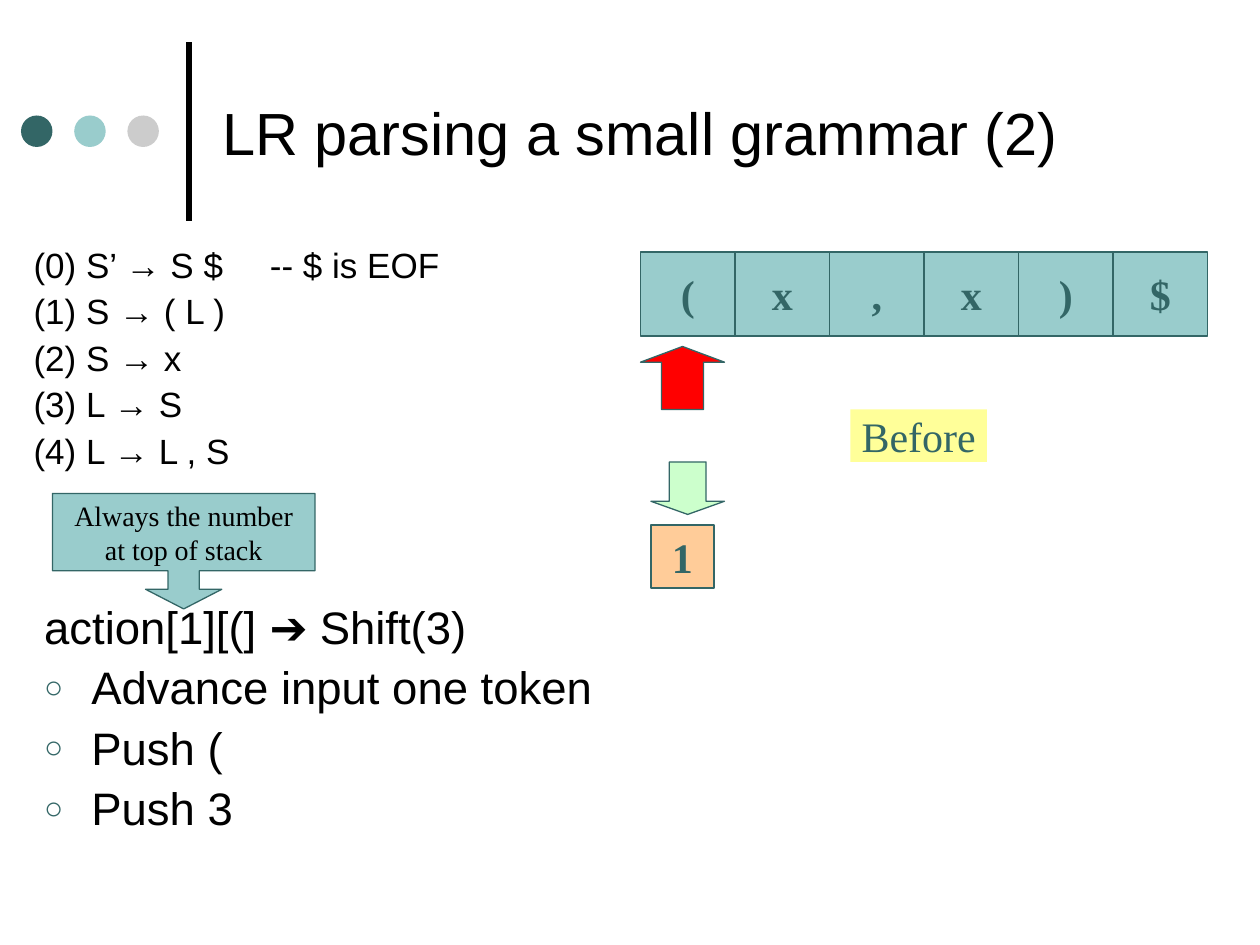
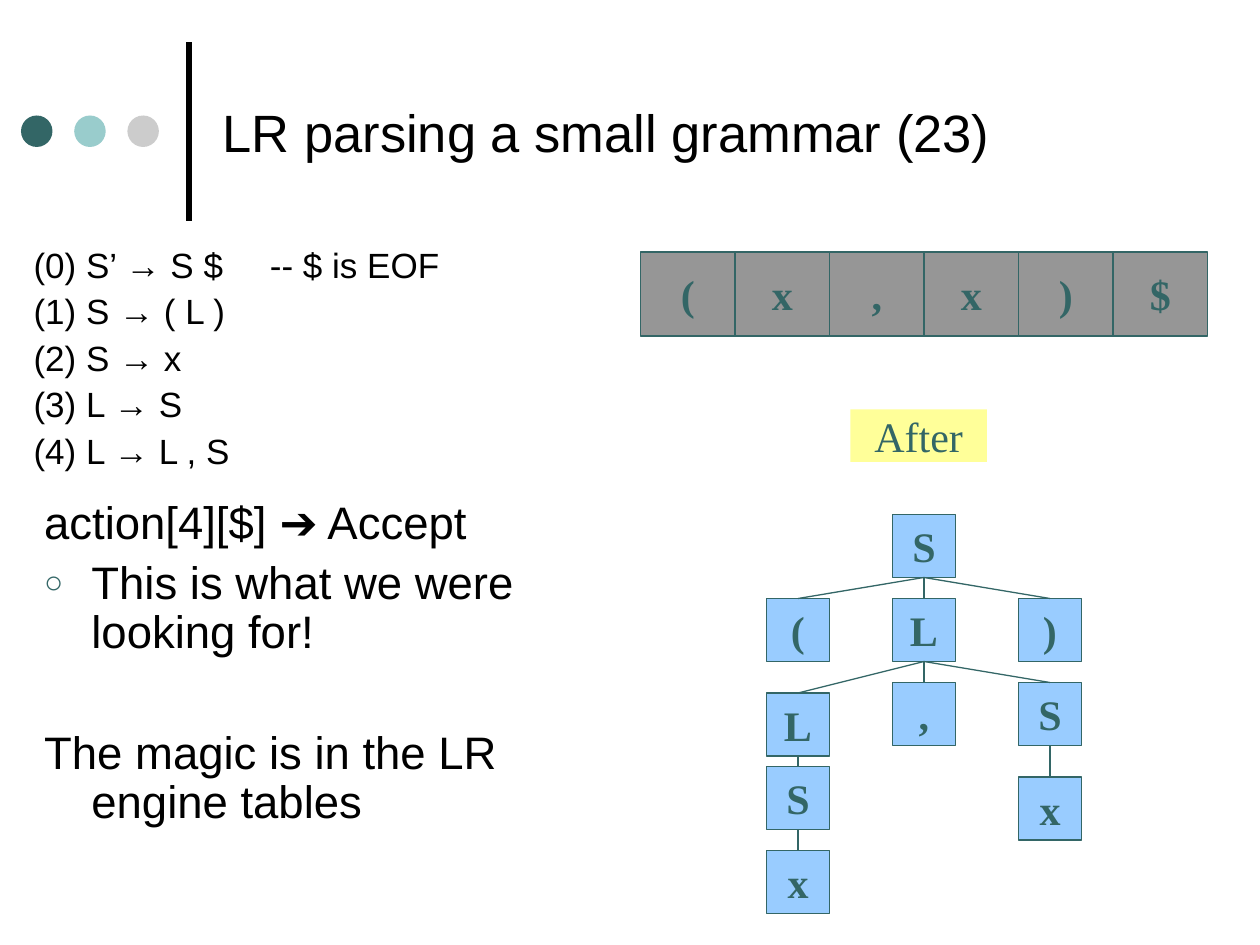
"""Build two slides on LR parsing of a small grammar."""
from lxml import etree
from pptx import Presentation
from pptx.dml.color import RGBColor
from pptx.enum import shapes, text
from pptx.oxml import ns
from pptx.util import Pt

COLORS = {
    "ink": "000000", "teal": "336666", "aqua": "99CCCC", "silver": "CCCCCC",
    "used": "969696", "red": "FF0000", "mint": "CCFFCC", "peach": "FFCC99",
    "yellow": "FFFF99", "sky": "99CCFF",
}
SANS, SERIF = "Arial", "Times New Roman"
SHAPE, ALIGN = shapes.MSO_SHAPE, text.PP_ALIGN
GRAMMAR = ["(0) S’ → S $\t-- $ is EOF", "(1) S → ( L )", "(2) S → x",
           "(3) L → S", "(4) L → L , S"]
TOKENS = "(x,x)$"
NODE = 36
TREE = ("S", 510, 294, [
    ("(", 438, 342, []),
    ("L", 510, 342, [
        ("L", 438, 396, [("S", 438, 438, [("x", 438, 486, [])])]),
        (",", 510, 390, []),
        ("S", 582, 390, [("x", 582, 444, [])]),
    ]),
    (")", 582, 342, []),
])


def rgb(name):
    return RGBColor.from_string(COLORS[name])


def sub(parent, tag, **attrs):
    return etree.SubElement(parent, ns.qn(tag), attrs)


def write(p, content, size=24, font=SERIF, color="teal", bold=False,
          align=ALIGN.LEFT, hang=0, bullet=False, tab=None, before=0, spacing=1.0):
    pPr = p._p.get_or_add_pPr()
    pPr.set("marL", str(Pt(hang)))
    pPr.set("indent", str(-Pt(hang)))
    if bullet:
        sub(sub(pPr, "a:buClr"), "a:srgbClr", val=COLORS["teal"])
        sub(pPr, "a:buSzPct", val="70000")
        sub(pPr, "a:buChar", char="○")
    else:
        sub(pPr, "a:buNone")
    if tab:
        sub(sub(pPr, "a:tabLst"), "a:tab", pos=str(Pt(tab)), algn="l")
    p.alignment, p.line_spacing, p.space_before = align, spacing, Pt(before)
    r = p.add_run()
    r.text = content
    r.font.name, r.font.size, r.font.bold = font, Pt(size), bold
    r.font.color.rgb = rgb(color)


def place(sp, left, top, width, height):
    sp.left, sp.top, sp.width, sp.height = map(Pt, (left, top, width, height))
    sp.text_frame.auto_size = text.MSO_AUTO_SIZE.NONE
    return sp.text_frame


def add_title(s, content, size):
    tf = place(s.shapes.title, 120, 15, 552, 120)
    tf.vertical_anchor = text.MSO_ANCHOR.MIDDLE
    write(tf.paragraphs[0], content, size=size, font=SANS, color="ink")


def add_list(sp, box, items, size, gap, **fmt):
    tf = place(sp, *box)
    for i, (content, extra) in enumerate(items):
        p = tf.add_paragraph() if i else tf.paragraphs[0]
        style = {"before": gap if i else 0, **fmt, **extra}
        write(p, content, size=size, font=SANS, color="ink", hang=27,
              spacing=0.9, **style)


def add_shape(s, kind, box, fill, lines=(), outline=True, adjust=(), **fmt):
    sp = s.shapes.add_shape(kind, *map(Pt, box))
    sp.shadow.inherit = False
    sp.fill.solid()
    sp.fill.fore_color.rgb = rgb(fill)
    if outline:
        sp.line.color.rgb = rgb("teal")
        sp.line.width = Pt(0.75)
    else:
        sp.line.fill.background()
    for i, value in enumerate(adjust):
        sp.adjustments[i] = value
    tf = sp.text_frame
    tf.word_wrap = False
    tf.vertical_anchor = text.MSO_ANCHOR.MIDDLE
    for i, line in enumerate(lines):
        p = tf.add_paragraph() if i else tf.paragraphs[0]
        write(p, line, align=ALIGN.CENTER, **fmt)
    return sp


def add_line(s, x1, y1, x2, y2, color="teal", width=0.75):
    ln = s.shapes.add_connector(shapes.MSO_CONNECTOR.STRAIGHT,
                                *map(Pt, (x1, y1, x2, y2)))
    ln.line.color.rgb = rgb(color)
    ln.line.width = Pt(width)
    sub(ln._element.spPr, "a:effectLst")
    return ln


def add_tree(s, node):
    label, left, top, children = node
    parent = add_shape(s, SHAPE.RECTANGLE, (left, top, NODE, NODE), "sky",
                       [label], bold=True)
    for child in children:
        sp = add_tree(s, child)
        ln = add_line(s, left, top, left, top)
        ln.begin_connect(parent, 2)
        ln.end_connect(sp, 0)
    return parent


def add_slide(prs, title, title_size, token_fill, stage, steps, steps_top, steps_height):
    s = prs.slides.add_slide(prs.slide_layouts[3])
    add_line(s, 108, 126, 108, 24, "ink", 3)
    for i, color in enumerate(("teal", "aqua", "silver")):
        add_shape(s, SHAPE.OVAL, (12 + 30.4 * i, 66, 18, 18), color, outline=False)
    add_title(s, title, title_size)
    add_list(s.placeholders[1], (12, 138, 307.5, 138),
             [(rule, {}) for rule in GRAMMAR], 20, 5, tab=144)
    add_list(s.placeholders[2], (18, steps_top, 336, steps_height), steps, 26, 6.5)
    for i, token in enumerate(TOKENS):
        add_shape(s, SHAPE.RECTANGLE, (366 + 54 * i, 144, 54, 48), token_fill,
                  [token], bold=True)
    add_shape(s, SHAPE.RECTANGLE, (486, 234, 78, 30), "yellow", [stage], outline=False)
    return s


def main():
    prs = Presentation()
    prs.slide_width, prs.slide_height = Pt(720), Pt(540)
    bullet = {"bullet": True}

    s = add_slide(prs, "LR parsing a small grammar (2)", 34, "aqua", "Before",
                  [("action[1][(] ➔ Shift(3)", {}),
                   ("Advance input one token", bullet),
                   ("Push (", bullet), ("Push 3", bullet)], 342, 150)
    add_shape(s, SHAPE.UP_ARROW, (366, 198, 48, 36), "red", adjust=(0.5, 0.25))
    add_shape(s, SHAPE.RECTANGLE, (372, 300, NODE, NODE), "peach", ["1"], bold=True)
    add_shape(s, SHAPE.DOWN_ARROW, (372, 264, 42, 30), "mint", adjust=(0.5, 0.25))
    add_shape(s, SHAPE.DOWN_ARROW_CALLOUT, (30, 282, 150, 66), "aqua",
              ["Always the number", "at top of stack"],
              adjust=(0.27, 0.33, 0.17, 0.67), size=16, color="ink")

    s = add_slide(prs, "LR parsing a small grammar (23)", 30, "used", "After",
                  [("action[4][$] ➔ Accept", {}),
                   ("This is what we were looking for!", bullet),
                   ("The magic is in the LR engine tables", {"before": 41})], 282, 210)
    add_tree(s, TREE)
    prs.save("out.pptx")


if __name__ == "__main__":
    main()
